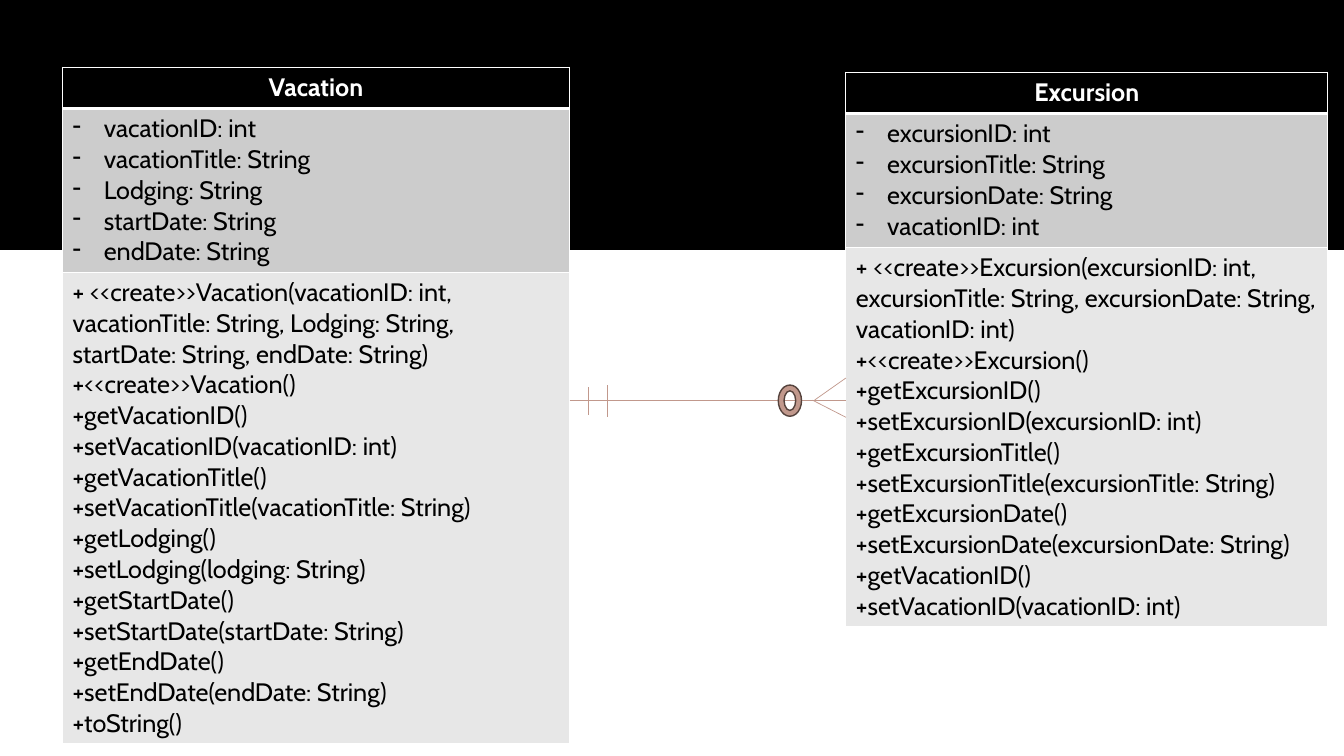
import dataclasses

import lxml.etree
import pptx
import pptx.dml.color
import pptx.enum.shapes
import pptx.enum.text
import pptx.oxml.ns
import pptx.util


@dataclasses.dataclass(frozen=True)
class Theme:
    font: str = "Cabin"
    text_size: float = 18
    black: str = "000000"
    white: str = "FFFFFF"
    attribute_fill: str = "CCCCCC"
    method_fill: str = "E7E7E7"
    relation: str = "C1988C"
    ring_outline: str = "55433D"
    hairline: float = 0.5
    border: float = 1
    title_rule: float = 3


@dataclasses.dataclass(frozen=True)
class ClassBox:
    """A class table; lengths are percent of the slide's width and height."""
    name: str
    left: float
    top: float
    width: float
    rows: tuple[float, float, float]
    attributes: list[str]
    methods: list[str]


@dataclasses.dataclass(frozen=True)
class Line:
    """A relation stroke between two points in percent of the slide."""
    start: tuple[float, float]
    end: tuple[float, float]


THEME = Theme()
SLIDE_WIDTH = pptx.util.Inches(13.33)
SLIDE_HEIGHT = pptx.util.Inches(7.5)
BAND_HEIGHT = 33.07
BULLET_INDENT = pptx.util.Inches(0.31)

VACATION = ClassBox(
    "Vacation", 4.65, 8.93, 37.73, (5.33, 20, 62.27),
    ["vacationID: int", "vacationTitle: String", "Lodging: String",
     "startDate: String", "endDate: String"],
    ["+ <<create>>Vacation(vacationID: int, vacationTitle: String, "
     "Lodging: String, startDate: String, endDate: String)",
     "+<<create>>Vacation()",
     "+getVacationID()", "+setVacationID(vacationID: int)",
     "+getVacationTitle()", "+setVacationTitle(vacationTitle: String)",
     "+getLodging()", "+setLodging(lodging: String)",
     "+getStartDate()", "+setStartDate(startDate: String)",
     "+getEndDate()", "+setEndDate(endDate: String)", "+toString()"])

EXCURSION = ClassBox(
    "Excursion", 62.94, 9.6, 35.86, (5.33, 17.73, 49.33),
    ["excursionID: int", "excursionTitle: String",
     "excursionDate: String", "vacationID: int"],
    ["+ <<create>>Excursion(excursionID: int, excursionTitle: String, "
     "excursionDate: String, vacationID: int)",
     "+<<create>>Excursion()",
     "+getExcursionID()", "+setExcursionID(excursionID: int)",
     "+getExcursionTitle()", "+setExcursionTitle(excursionTitle: String)",
     "+getExcursionDate()", "+setExcursionDate(excursionDate: String)",
     "+getVacationID()", "+setVacationID(vacationID: int)"])

RELATION_Y = 52.93
RELATION_START = VACATION.left + VACATION.width
RELATION_END = EXCURSION.left
RELATION_LINES = [
    Line((RELATION_START, RELATION_Y), (RELATION_END, RELATION_Y)),
    Line((60.6, RELATION_Y), (RELATION_END, 50)),
    Line((60.45, RELATION_Y), (RELATION_END, 55.2)),
]
ONE_MARKS = [
    Line((43.81, 51.2), (43.81, 54.93)),
    Line((45.16, 50.93), (45.16, 55.2)),
]


def across(percent: float) -> int:
    return round(SLIDE_WIDTH * percent / 100)


def down(percent: float) -> int:
    return round(SLIDE_HEIGHT * percent / 100)


def color(value: str) -> pptx.dml.color.RGBColor:
    return pptx.dml.color.RGBColor.from_string(value)


def add_child(parent, tag: str, **attributes: str):
    return lxml.etree.SubElement(parent, pptx.oxml.ns.qn(tag), attributes)


def set_borders(cell, top: float, bottom: float) -> None:
    properties = cell._tc.get_or_add_tcPr()
    widths = {"L": THEME.border, "R": THEME.border, "T": top, "B": bottom}
    for position, (side, width) in enumerate(widths.items()):
        border = add_child(properties, f"a:ln{side}", w=str(pptx.util.Pt(width)))
        add_child(add_child(border, "a:solidFill"), "a:srgbClr", val=THEME.white)
        properties.insert(position, border)


def add_bullet(paragraph) -> None:
    properties = paragraph._p.get_or_add_pPr()
    properties.set("marL", str(BULLET_INDENT))
    properties.set("indent", str(-BULLET_INDENT))
    add_child(properties, "a:buChar", char="-")


def fill_cell(cell, lines: list[str], fill: str, text: str,
              title: bool = False, bulleted: bool = False) -> None:
    cell.fill.solid()
    cell.fill.fore_color.rgb = color(fill)
    cell.text_frame.text = "\n".join(lines)
    for paragraph in cell.text_frame.paragraphs:
        if title:
            paragraph.alignment = pptx.enum.text.PP_ALIGN.CENTER
        if bulleted:
            add_bullet(paragraph)
        for run in paragraph.runs:
            run.font.name = THEME.font
            run.font.size = pptx.util.Pt(THEME.text_size)
            run.font.bold = title
            run.font.color.rgb = color(text)


def draw_class(slide, box: ClassBox) -> None:
    frame = slide.shapes.add_table(
        len(box.rows), 1, across(box.left), down(box.top),
        across(box.width), down(sum(box.rows)))
    table = frame.table
    table.horz_banding = False
    for row, height in zip(table.rows, box.rows):
        row.height = down(height)
    title, attributes, methods = (row.cells[0] for row in table.rows)
    fill_cell(title, [box.name], THEME.black, THEME.white, title=True)
    fill_cell(attributes, box.attributes, THEME.attribute_fill, THEME.black,
              bulleted=True)
    fill_cell(methods, box.methods, THEME.method_fill, THEME.black)
    set_borders(title, THEME.border, THEME.title_rule)
    set_borders(attributes, THEME.title_rule, THEME.border)
    set_borders(methods, THEME.border, THEME.border)


def draw_line(slide, line: Line) -> None:
    connector = slide.shapes.add_connector(
        pptx.enum.shapes.MSO_CONNECTOR.STRAIGHT,
        across(line.start[0]), down(line.start[1]),
        across(line.end[0]), down(line.end[1]))
    connector.line.color.rgb = color(THEME.relation)
    connector.line.width = pptx.util.Pt(THEME.hairline)
    add_child(connector._element.spPr, "a:effectLst")


def draw_shape(slide, kind, left: float, top: float, width: float,
               height: float, fill: str):
    shape = slide.shapes.add_shape(
        kind, across(left), down(top), across(width), down(height))
    shape.shadow.inherit = False
    shape.fill.solid()
    shape.fill.fore_color.rgb = color(fill)
    shape.line.fill.background()
    return shape


def main() -> None:
    presentation = pptx.Presentation()
    presentation.slide_width = SLIDE_WIDTH
    presentation.slide_height = SLIDE_HEIGHT
    slide = presentation.slides.add_slide(presentation.slide_layouts[6])
    kinds = pptx.enum.shapes.MSO_SHAPE

    # Black band and the two classes
    draw_shape(slide, kinds.RECTANGLE, 0, 0, 100, BAND_HEIGHT, THEME.black)
    for box in (VACATION, EXCURSION):
        draw_class(slide, box)

    # One-to-many relation: line, crow's foot, optional ring, "one" marks
    for line in RELATION_LINES:
        draw_line(slide, line)
    ring = draw_shape(slide, kinds.DONUT, 57.91, 50.93, 1.73, 4.13, THEME.relation)
    ring.line.color.rgb = color(THEME.ring_outline)
    ring.line.width = pptx.util.Pt(THEME.border)
    for line in ONE_MARKS:
        draw_line(slide, line)

    presentation.save("out.pptx")


if __name__ == "__main__":
    main()
